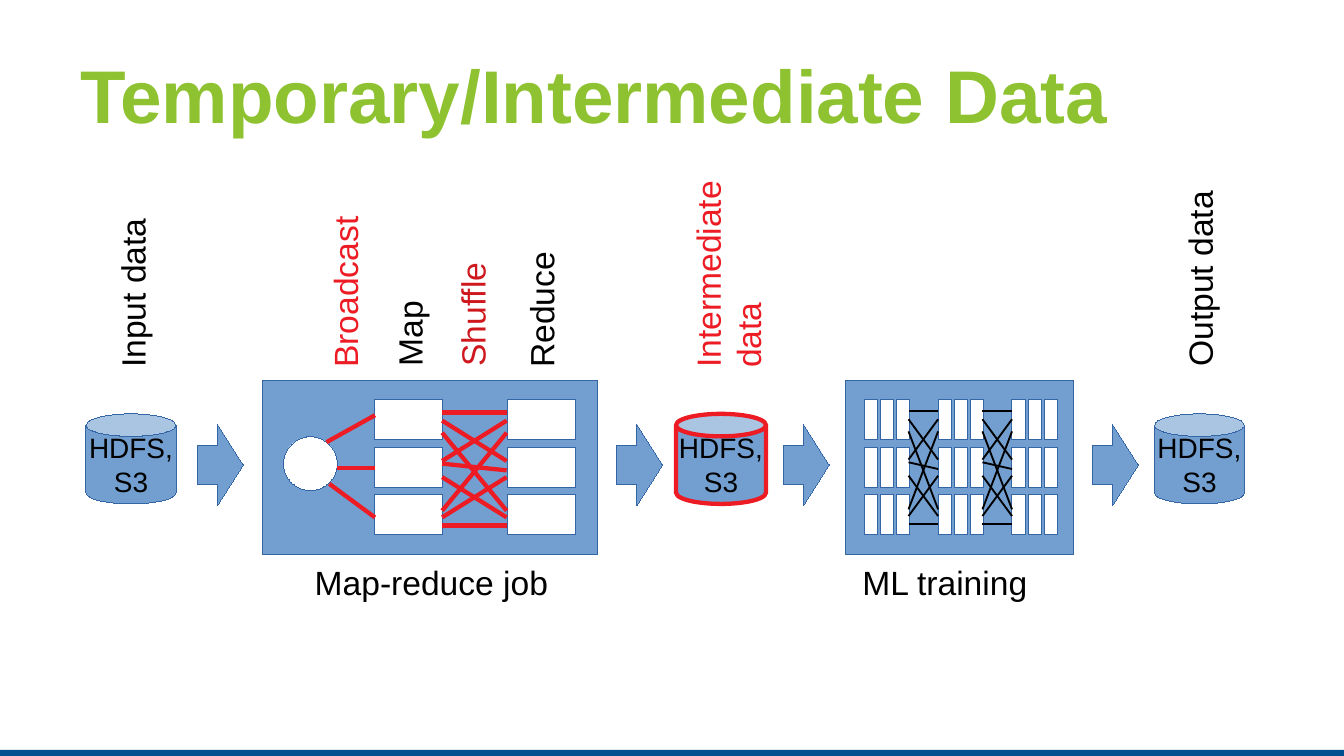
from lxml import etree
from pptx import Presentation
from pptx import util as u
from pptx.dml.color import RGBColor
from pptx.enum import shapes, text
from pptx.oxml import ns

BLUE = RGBColor(0x72, 0x9F, 0xCF)
EDGE = RGBColor(0x34, 0x65, 0xA4)
NAVY = RGBColor(0x00, 0x50, 0x8F)
GREEN = RGBColor(0x8F, 0xC2, 0x30)
RED = RGBColor(0xED, 0x1C, 0x24)
DARK_RED = RGBColor(0xCE, 0x18, 0x1E)
BLACK = RGBColor(0, 0, 0)
WHITE = RGBColor(255, 255, 255)

KIND = shapes.MSO_SHAPE
ALIGN = text.PP_ALIGN
HAIR = 0.01
ROWS = (2.97, 3.33, 3.68)
LINKS = ((3.06, 3.06), (3.12, 3.42), (3.21, 3.79),
         (3.42, 3.12), (3.49, 3.44), (3.54, 3.84),
         (3.79, 3.21), (3.84, 3.54), (3.9, 3.9))
LABELS = (
    ("Broadcast", 1.93, 1.74, 1.53, 0.66, RED),
    ("Shuffle", 2.84, 1.95, 1.35, 0.4, DARK_RED),
    ("Map", 2.37, 1.95, 1.35, 0.4, BLACK),
    ("Reduce", 3.35, 1.96, 1.35, 0.4, BLACK),
    ("Input data", 0.31, 1.96, 1.35, 0.4, BLACK),
    ("Intermediate data", 4.58, 1.69, 1.63, 0.66, RED),
    ("Output data", 8.24, 1.68, 1.63, 0.66, BLACK),
)


def write(frame, lines, size=18, color=BLACK, bold=False, align=ALIGN.LEFT,
          anchor=text.MSO_ANCHOR.TOP, wrap=True):
    """Fill a text frame with one paragraph per line."""
    frame.word_wrap = wrap
    frame.vertical_anchor = anchor
    for i, line in enumerate(lines.split("\n")):
        para = frame.add_paragraph() if i else frame.paragraphs[0]
        para.alignment = align
        run = para.add_run()
        run.text = line
        run.font.name = "Arial"
        run.font.size = u.Pt(size)
        run.font.bold = bold
        run.font.color.rgb = color


def label(slide, words, x, y, w, h, turn=0, **style):
    """Add a text box, turned by the given angle."""
    box = slide.shapes.add_textbox(*map(u.Inches, (x, y, w, h)))
    box.rotation = turn
    write(box.text_frame, words, **style)


def block(slide, kind, x, y, w, h, fill=BLUE, edge=EDGE, width=HAIR):
    """Add a filled preset shape."""
    shape = slide.shapes.add_shape(kind, *map(u.Inches, (x, y, w, h)))
    shape.shadow.inherit = False
    shape.fill.solid()
    shape.fill.fore_color.rgb = fill
    shape.line.color.rgb = edge
    shape.line.width = u.Pt(width)
    return shape


def arrow(slide, x):
    """Add a block arrow on the flow line."""
    shape = block(slide, KIND.RIGHT_ARROW, x, 3.16, 0.34, 0.6)
    shape.adjustments[0] = 0.49
    shape.adjustments[1] = 0.56


def store(slide, x, **style):
    """Add a storage cylinder."""
    can = block(slide, KIND.CAN, x, 3.08, 0.67, 0.67, **style)
    can.adjustments[0] = 0.25
    write(can.text_frame, "HDFS,\nS3", size=15, align=ALIGN.CENTER,
          anchor=text.MSO_ANCHOR.MIDDLE, wrap=False)


def stack(slide, x, w):
    """Add a column of three white boxes."""
    return [block(slide, KIND.RECTANGLE, x, y, w, 0.3, fill=WHITE)
            for y in ROWS]


def link(slide, x1, y1, x2, y2, color=RED, width=2.3):
    """Add a straight line."""
    line = slide.shapes.add_connector(
        shapes.MSO_CONNECTOR.STRAIGHT, *map(u.Inches, (x1, y1, x2, y2)))
    line.line.color.rgb = color
    line.line.width = u.Pt(width)
    etree.SubElement(line._element.spPr, ns.qn("a:effectLst"))
    return line


def mesh(slide, left, right, drop=0, **style):
    """Join two columns with crossing lines."""
    for start, end in LINKS:
        link(slide, right, start + drop, left, end + drop, **style)


def train(slide):
    """Draw the ML training job."""
    block(slide, KIND.RECTANGLE, 6.29, 2.83, 1.7, 1.3)
    for i in range(3):
        for j in range(3):
            stack(slide, 6.43 + 0.55 * i + 0.12 * j, 0.1)
    for left in (6.76, 7.31):
        mesh(slide, left, left + 0.22, color=BLACK, width=1)


def reduce(slide):
    """Draw the map-reduce job."""
    block(slide, KIND.RECTANGLE, 1.95, 2.83, 2.5, 1.3)
    block(slide, KIND.OVAL, 2.11, 3.25, 0.4, 0.4, fill=WHITE)
    maps = stack(slide, 2.79, 0.5)
    stack(slide, 3.78, 0.5)
    mesh(slide, 3.29, 3.77, drop=0.01)
    link(slide, 2.43, 3.29, 2.79, 3.09)
    link(slide, 2.51, 3.48, 2.79, 3.48).end_connect(maps[1], 1)
    link(slide, 2.45, 3.6, 2.79, 3.85)


def main():
    """Build the slide and save it."""
    deck = Presentation()
    deck.slide_width = u.Inches(10)
    deck.slide_height = deck.slide_width * 9 // 16
    slide = deck.slides.add_slide(deck.slide_layouts[6])
    bar = block(slide, KIND.RECTANGLE, 0, 5.58, 10, 0.05, fill=NAVY)
    bar.line.fill.background()
    label(slide, "Temporary/Intermediate Data", 0.5, 0.23, 9, 0.94, size=40,
          color=GREEN, bold=True, anchor=text.MSO_ANCHOR.MIDDLE)
    for words, x, y, w, h, color in LABELS:
        label(slide, words, x, y, w, h, turn=270, color=color)
    for x in (1.47, 4.59, 5.83, 8.13):
        arrow(slide, x)
    store(slide, 0.64)
    store(slide, 5.03, edge=RED, width=2.3)
    store(slide, 8.59)
    train(slide)
    reduce(slide)
    for words, x in (("Map-reduce job", 1.95), ("ML training", 5.77)):
        label(slide, words, x, 4.13, 2.52, 0.38, align=ALIGN.CENTER)
    deck.save("out.pptx")


if __name__ == "__main__":
    main()
